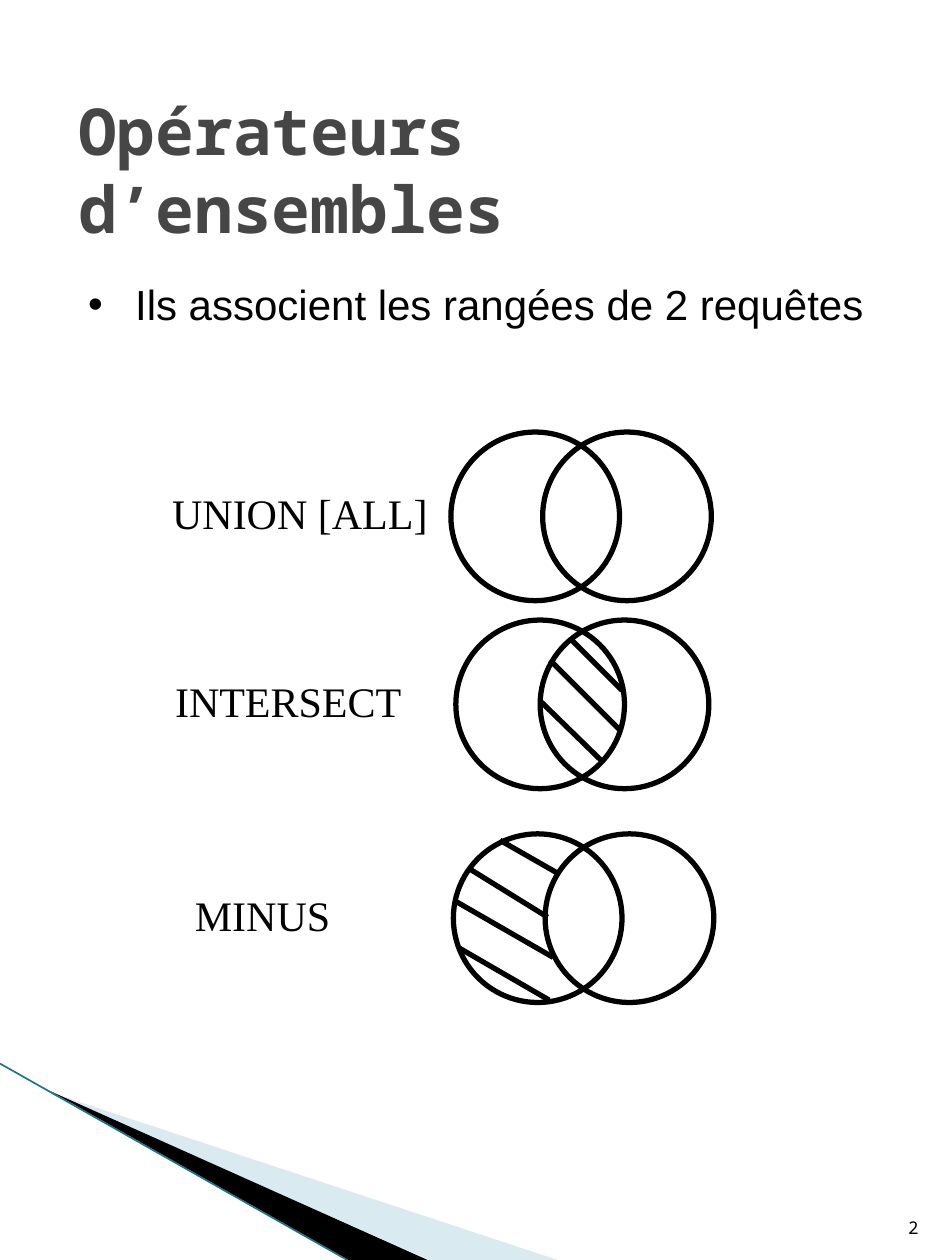
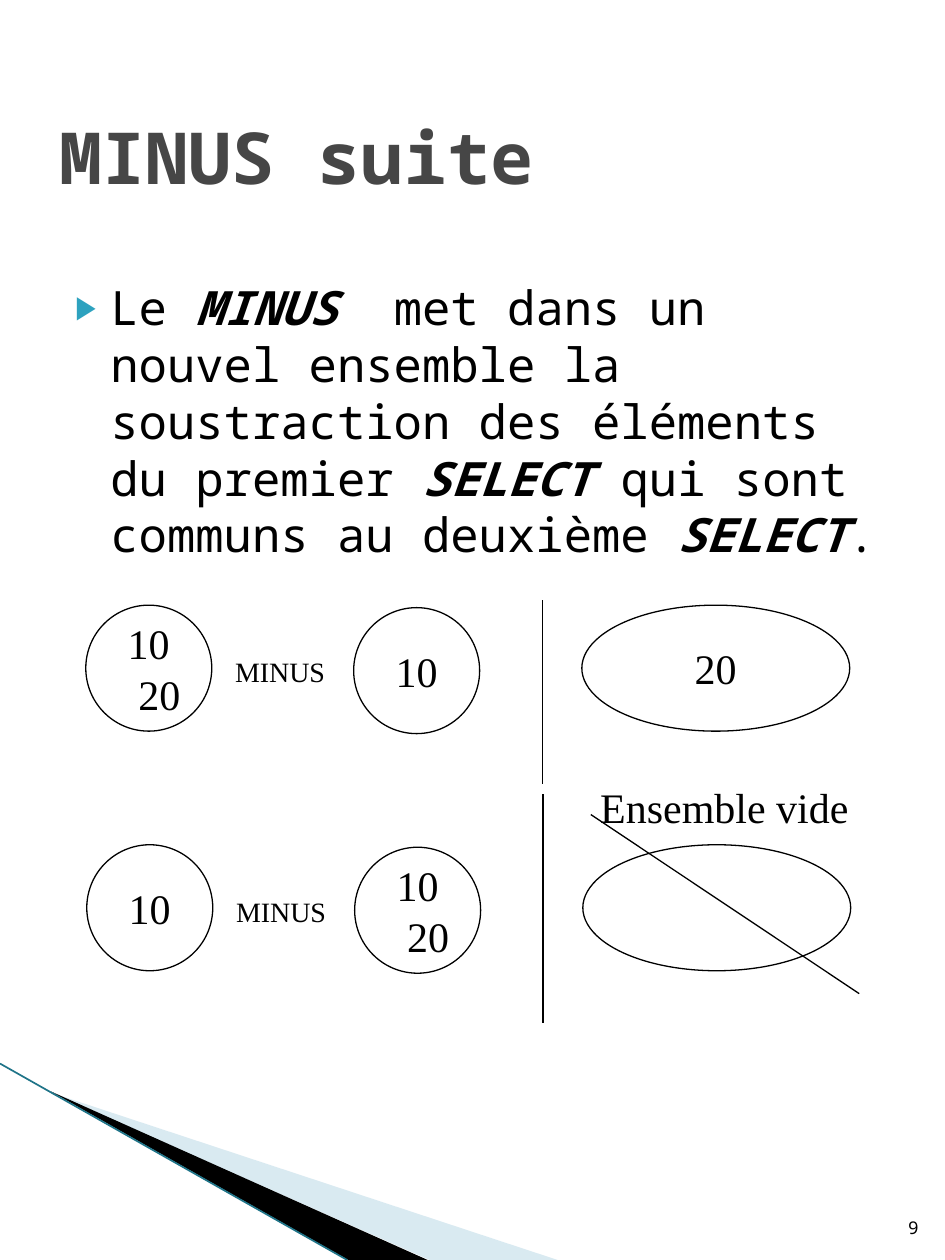
"""Two slides on SQL set operators, with Venn diagrams."""
import pptx
import pptx.dml.color
import pptx.enum.shapes
import pptx.enum.text
import pptx.oxml
import pptx.oxml.ns
import pptx.util
import lxml.etree

Cm = pptx.util.Cm
Pt = pptx.util.Pt
ALIGN = pptx.enum.text.PP_ALIGN
ANCHOR = pptx.enum.text.MSO_ANCHOR
AUTO_SIZE = pptx.enum.text.MSO_AUTO_SIZE
OVAL = pptx.enum.shapes.MSO_SHAPE.OVAL
STRAIGHT = pptx.enum.shapes.MSO_CONNECTOR.STRAIGHT

COLORS = {
    "ink": "000000",
    "paper": "FFFFFF",
    "title": "464646",
    "bullet": "2DA2BF",
    "pale": "A0CBDC",
    "edge": "1F7488",
}
MONO, SERIF, SANS = "Noto Sans Mono", "Times New Roman", "Arial"
WIDTH, HEIGHT = 19.05, 25.4


def rgb(name):
    """Return the named colour of the palette."""
    return pptx.dml.color.RGBColor.from_string(COLORS[name])


def add_child(parent, tag, **attributes):
    """Append a DrawingML element and return it."""
    child = lxml.etree.SubElement(parent, pptx.oxml.ns.qn(tag))
    for key, value in attributes.items():
        child.set(key, value)
    return child


def add_run(paragraph, text, size, font, color="ink", bold=False, italic=False):
    """Add one formatted run."""
    run = paragraph.add_run()
    run.text = text
    run.font.name = font
    run.font.size = Pt(size)
    run.font.bold = bold
    run.font.italic = italic
    run.font.color.rgb = rgb(color)


def place(shape, box):
    """Move a shape to a (left, top, width, height) box."""
    shape.left, shape.top, shape.width, shape.height = map(Cm, box)


def add_title(slide, box, text, size):
    """Fill the title placeholder."""
    title = slide.shapes.title
    place(title, box)
    frame = title.text_frame
    frame.auto_size = AUTO_SIZE.NONE
    frame.vertical_anchor = ANCHOR.MIDDLE
    paragraph = frame.paragraphs[0]
    paragraph.alignment = ALIGN.LEFT
    add_run(paragraph, text, size, MONO, "title", bold=True)


def add_bullet(slide, box, runs, size, font, char, indent, hanging, before,
               color="ink", percent=100):
    """Fill the body placeholder with one bullet; runs are (text, strong)."""
    body = slide.placeholders[1]
    place(body, box)
    body.text_frame.auto_size = AUTO_SIZE.NONE
    paragraph = body.text_frame.paragraphs[0]
    paragraph.alignment = ALIGN.LEFT
    paragraph.space_before = Pt(before)
    properties = paragraph._p.get_or_add_pPr()
    properties.set("marL", str(Cm(indent)))
    properties.set("indent", str(-Cm(hanging)))
    add_child(add_child(properties, "a:buClr"), "a:srgbClr", val=COLORS[color])
    add_child(properties, "a:buSzPct", val=str(percent * 1000))
    add_child(properties, "a:buFont", typeface=SANS)
    add_child(properties, "a:buChar", char=char)
    for text, strong in runs:
        add_run(paragraph, text, size, font, bold=strong, italic=strong)


def add_label(slide, box, text, size):
    """Add a one-line serif label; the box must be wider than its text."""
    label = slide.shapes.add_textbox(*map(Cm, box))
    label.text_frame.word_wrap = False
    label.text_frame.auto_size = AUTO_SIZE.SHAPE_TO_FIT_TEXT
    add_run(label.text_frame.paragraphs[0], text, size, SERIF)


def add_line(slide, start, end, weight, color="ink"):
    """Draw a straight line between two points."""
    line = slide.shapes.add_connector(STRAIGHT, *map(Cm, (*start, *end)))
    line.line.color.rgb = rgb(color)
    line.line.width = Pt(weight)
    add_child(line._element.spPr, "a:effectLst")


def add_oval(slide, box, weight, fill=None, values=()):
    """Draw an outlined oval, listing values stepped to the right."""
    oval = slide.shapes.add_shape(OVAL, *map(Cm, box))
    oval.shadow.inherit = False
    oval.line.color.rgb = rgb("ink")
    oval.line.width = Pt(weight)
    if fill:
        oval.fill.solid()
        oval.fill.fore_color.rgb = rgb(fill)
    else:
        oval.fill.background()
    frame = oval.text_frame
    frame.vertical_anchor = ANCHOR.MIDDLE
    frame.margin_left = frame.margin_right = 0
    for index, value in enumerate(values):
        paragraph = frame.add_paragraph() if index else frame.paragraphs[0]
        paragraph.alignment = ALIGN.CENTER
        paragraph._p.get_or_add_pPr().set("marL", str(Pt(12 * index)))
        add_run(paragraph, value, 24, SERIF)


def add_wedge(slide, points, color, opacity=100):
    """Draw a filled polygon without outline."""
    corners = [(Cm(x), Cm(y)) for x, y in points]
    builder = slide.shapes.build_freeform(*corners[0], scale=1.0)
    builder.add_line_segments(corners[1:], close=True)
    wedge = builder.convert_to_shape()
    wedge.shadow.inherit = False
    wedge.line.fill.background()
    wedge.fill.solid()
    wedge.fill.fore_color.rgb = rgb(color)
    if opacity < 100:
        tint = wedge._element.spPr.find(".//" + pptx.oxml.ns.qn("a:srgbClr"))
        add_child(tint, "a:alpha", val=str(opacity * 1000))


def add_footer(slide, number):
    """Draw the corner wedges and the page number."""
    add_wedge(slide, [(1.04, 22.03), (11.24, HEIGHT), (8.66, HEIGHT)], "pale", 40)
    add_wedge(slide, [(1.02, 22), (8.62, HEIGHT), (7.02, HEIGHT)], "ink")
    add_line(slide, (0, 21.44), (7, HEIGHT), 0.95, "edge")
    page = slide.shapes.add_textbox(*map(Cm, (18.01, 23.74, 0.76, 1.35)))
    page.text_frame.word_wrap = True
    page.text_frame.vertical_anchor = ANCHOR.BOTTOM
    page.text_frame.margin_left = 0
    paragraph = page.text_frame.paragraphs[0]
    paragraph.alignment = ALIGN.RIGHT
    add_run(paragraph, number, 10, MONO)


def add_venn(slide, left, top, step, label, label_left, label_width, hatching=()):
    """Draw a label and two overlapping circles, hatched relative to the first."""
    diameter = 3.4
    add_label(slide, (label_left, top + 1, label_width, 1.27), label, 24)
    add_oval(slide, (left, top, diameter, diameter), 3, "paper")
    add_oval(slide, (left + step, top, diameter, diameter), 3)
    for x1, y1, x2, y2 in hatching:
        add_line(slide, (left + x1, top + y1), (left + x2, top + y2), 3)


def add_subtraction(slide, left, top, first, second, result, rule_top):
    """Draw first MINUS second, a vertical rule, and the resulting set."""
    size = 2.54
    add_oval(slide, (left, top, size, size), 0.75, values=first)
    add_label(slide, (left + 2.76, top + 0.88, 2.4, 0.94), "MINUS", 16)
    add_oval(slide, (left + 5.4, top + 0.05, size, size), 0.75, values=second)
    add_line(slide, (left + 9.2, top + rule_top), (left + 9.2, top + 3.6), 0.75)
    add_oval(slide, (left + 10, top, 5.4, size), 0.75, values=result)
    if not result:
        add_line(slide, (left + 10.16, top - 0.61), (left + 15.57, top + 3), 0.75)
        add_label(slide, (left + 10.1, top - 1.4, 5.7, 1.27), "Ensemble vide", 24)


def build_operators(slide):
    """Slide presenting the three set operators."""
    add_footer(slide, "2")
    add_title(slide, (1.32, 1.9, 16.2, 3), "Opérateurs d’ensembles", 36.9)
    add_bullet(slide, (1.52, 5.49, 16.2, 2.2),
               [("Ils associent les rangées de 2 requêtes", False)],
               24, SANS, "•", 0.95, 0.95, 4.8)
    add_venn(slide, 9.09, 8.71, 1.85, "UNION [ALL]", 3.22, 5.76)
    add_venn(slide, 9.19, 12.5, 1.7, "INTERSECT", 3.28, 5.18,
             [(2.34, 0.41, 3.35, 1.42), (1.9, 0.81, 3.3, 2.21),
              (1.7, 1.63, 2.92, 2.82)])
    add_venn(slide, 9.14, 16.81, 1.85, "MINUS", 3.68, 3.35,
             [(0.94, 0.13, 2.13, 0.81), (0.3, 0.69, 1.9, 1.68),
              (0.03, 1.35, 2.01, 2.49), (0.13, 2.31, 1.93, 3.35)])


def build_minus(slide):
    """Slide explaining MINUS with two examples."""
    add_footer(slide, "9")
    add_title(slide, (0.95, 1.02, 17.15, 4.24), "MINUS suite", 41)
    add_bullet(slide, (0.95, 5.49, 17.15, 16.76),
               [("Le ", False), ("MINUS ", True),
                (" met dans un nouvel ensemble la soustraction des éléments"
                 " du premier ", False),
                ("SELECT", True), (" qui sont communs au deuxième ", False),
                ("SELECT", True), (".", False)],
               27, MONO, "▶", 1.02, 0.71, 4, "bullet", 68)
    add_subtraction(slide, 1.73, 12.2, ["10", "20"], ["10"], ["20"], -0.1)
    add_subtraction(slide, 1.75, 17.03, ["10"], ["10", "20"], [], -1.02)


def main():
    """Build and save the presentation."""
    presentation = pptx.Presentation()
    presentation.slide_width, presentation.slide_height = Cm(WIDTH), Cm(HEIGHT)
    layout = presentation.slide_layouts.get_by_name("Title and Content")
    for build in (build_operators, build_minus):
        build(presentation.slides.add_slide(layout))
    presentation.save("out.pptx")


main()
